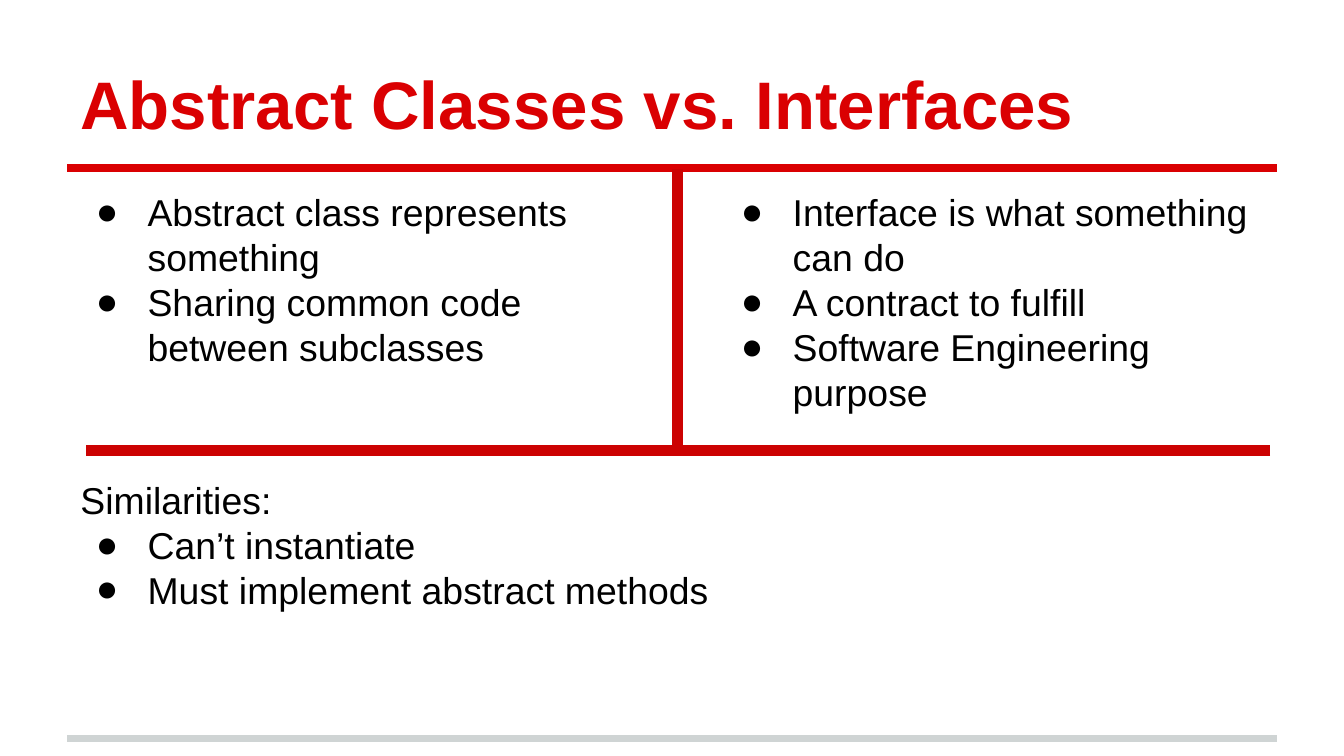
import lxml.etree
import pptx
import pptx.dml.color
import pptx.enum.shapes
import pptx.enum.text
import pptx.oxml.ns
import pptx.util

PX = 4572
COLORS = {"title": "DA0002", "divider": "CC0202", "footer": "CFD4D4", "text": "000000"}
TITLE_FONT = {"name": "Arial", "size": pptx.util.Pt(36), "bold": True}
BODY_FONT = {"name": "Arial", "size": pptx.util.Pt(20), "bold": False}
FRAME = {
    "word_wrap": True,
    "margin_left": 20 * PX,
    "margin_top": 20 * PX,
    "margin_right": 20 * PX,
    "margin_bottom": 20 * PX,
}


def apply_format(target, values):
    for key, value in values.items():
        setattr(target, key, value)


def rgb(color):
    return pptx.dml.color.RGBColor.from_string(COLORS[color])


def add_child(parent, tag, **attributes):
    return lxml.etree.SubElement(parent, pptx.oxml.ns.qn(tag), attributes)


def add_rule(slide, start, end, color, weight):
    rule = slide.shapes.add_connector(
        pptx.enum.shapes.MSO_CONNECTOR.STRAIGHT, *(value * PX for value in start + end)
    )
    rule.line.color.rgb = rgb(color)
    rule.line.width = pptx.util.Pt(weight)
    add_child(rule._element.spPr, "a:effectLst")


def add_frame(slide, box):
    frame = slide.shapes.add_textbox(*(value * PX for value in box)).text_frame
    apply_format(frame, FRAME)
    return frame


def write_line(paragraph, text, font, color):
    run = paragraph.add_run()
    run.text = text
    apply_format(run.font, font)
    run.font.color.rgb = rgb(color)


def set_bullet(paragraph):
    properties = paragraph._p.get_or_add_pPr()
    properties.set("marL", str(100 * PX))
    properties.set("indent", str(-77 * PX))
    bullet_color = add_child(properties, "a:buClr")
    add_child(bullet_color, "a:srgbClr", val=COLORS["text"])
    add_child(properties, "a:buFont", typeface="Arial")
    add_child(properties, "a:buChar", char="●")


def add_title(slide, box, title):
    left, top, width, height = box
    frame = add_frame(slide, box)
    frame.vertical_anchor = pptx.enum.text.MSO_ANCHOR.BOTTOM
    write_line(frame.paragraphs[0], title, TITLE_FONT, "title")
    underline = top + height + 17
    add_rule(slide, (left, underline), (left + width, underline), "title", 4)


def add_points(slide, box, points, heading=None):
    frame = add_frame(slide, box)
    lines = [heading, *points] if heading else points
    for index, line in enumerate(lines):
        paragraph = frame.paragraphs[0] if index == 0 else frame.add_paragraph()
        write_line(paragraph, line, BODY_FONT, "text")
        if line != heading:
            set_bullet(paragraph)


def add_comparison(slide, box, abstract_points, interface_points):
    left, top, width, height = box
    bottom = top + height
    add_points(slide, (left, top, 820, height), abstract_points)
    add_points(slide, (left + 960, top, 840, 814), interface_points)
    add_rule(slide, (left + 908, top - 10), (left + 908, bottom), "divider", 6)
    add_rule(slide, (left + width - 10, bottom), (left + 28, bottom), "divider", 6)


def main():
    presentation = pptx.Presentation()
    presentation.slide_width = 2000 * PX
    presentation.slide_height = 1125 * PX
    slide = presentation.slides.add_slide(presentation.slide_layouts[6])

    add_rule(slide, (100, 1099), (1900, 1099), "footer", 4)
    add_title(slide, (100, 45, 1800, 188), "Abstract Classes vs. Interfaces")
    add_comparison(
        slide,
        (100, 262, 1800, 408),
        ["Abstract class represents something", "Sharing common code between subclasses"],
        [
            "Interface is what something can do",
            "A contract to fulfill",
            "Software Engineering purpose",
        ],
    )
    add_points(
        slide,
        (100, 690, 1918, 334),
        ["Can’t instantiate", "Must implement abstract methods"],
        heading="Similarities:",
    )
    presentation.save("out.pptx")


if __name__ == "__main__":
    main()
